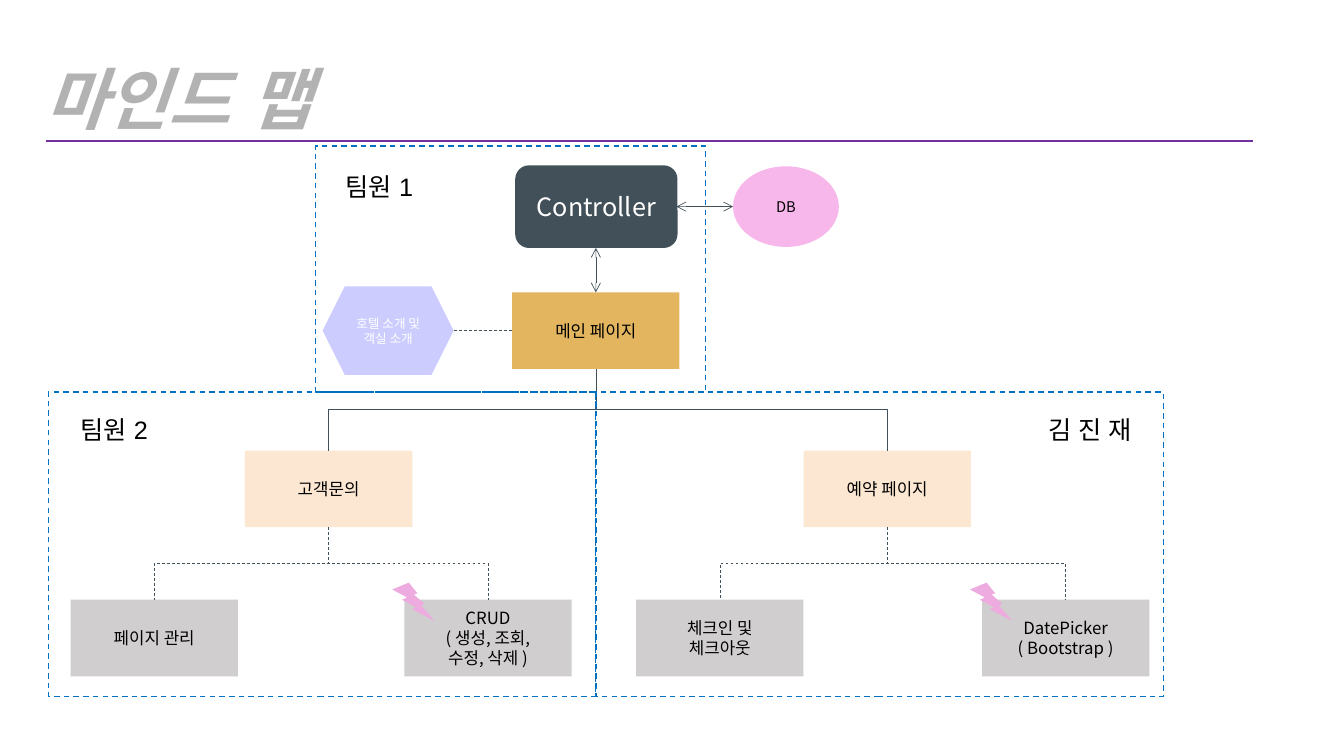
from lxml import etree
from pptx import Presentation
from pptx import util as u
from pptx.dml.color import RGBColor
from pptx.enum import dml, shapes, text
from pptx.oxml import ns

COLORS = {
    "title": "B2B2B2", "rule": "7030A0", "frame": "0070C0", "slate": "425059",
    "gold": "E3B55F", "peach": "FCE7D2", "gray": "D0CECE", "pink": "F7B7EB",
    "bolt": "EDABE0", "lavender": "CCCCFF", "black": "000000", "white": "FFFFFF",
}
SHAPE = shapes.MSO_SHAPE
NODE_WIDTH, NODE_HEIGHT = 1.66, 0.76
MIDDLE_X = 5.91


def color(name):
    return RGBColor.from_string(COLORS[name])


class MindMap:
    body_font = "Noto Sans CJK KR"
    label_font = "Arial"
    title_font = "Montserrat"

    def __init__(self, slide):
        self.slide = slide

    def set_text(self, shape, words, font_name, size, ink, align=None, bold=None, italic=None):
        frame = shape.text_frame
        frame.word_wrap = True
        frame.text = words
        for paragraph in frame.paragraphs:
            paragraph.alignment = align
            font = paragraph.font
            font.name, font.size = font_name, u.Pt(size)
            font.bold, font.italic = bold, italic
            font.color.rgb = color(ink)
            etree.SubElement(font._rPr, ns.qn("a:ea"), typeface=font_name)

    def label(self, left, top, width, height, words, size=18, ink="black", font=label_font, **style):
        box = self.slide.shapes.add_textbox(*map(u.Inches, (left, top, width, height)))
        self.set_text(box, words, font, size, ink, **style)

    def node(self, kind, left, top, width, height, fill, words="", size=12, ink="black"):
        shape = self.slide.shapes.add_shape(kind, *map(u.Inches, (left, top, width, height)))
        shape.shadow.inherit = False
        shape.fill.solid()
        shape.fill.fore_color.rgb = color(fill)
        shape.line.fill.background()
        if words:
            shape.text_frame.vertical_anchor = text.MSO_ANCHOR.MIDDLE
            self.set_text(shape, words, self.body_font, size, ink, text.PP_ALIGN.CENTER)

    def page(self, center, top, fill, words):
        self.node(SHAPE.RECTANGLE, center - NODE_WIDTH / 2, top, NODE_WIDTH, NODE_HEIGHT, fill, words)

    def frame(self, left, top, width, height):
        shape = self.slide.shapes.add_shape(SHAPE.RECTANGLE, *map(u.Inches, (left, top, width, height)))
        shape.shadow.inherit = False
        shape.fill.background()
        shape.line.color.rgb = color("frame")
        shape.line.width = u.Pt(1)
        shape.line.dash_style = dml.MSO_LINE.DASH

    def line(self, x1, y1, x2, y2, ink="slate", width=0.5, dashed=False, arrows=False,
             kind=shapes.MSO_CONNECTOR.STRAIGHT):
        connector = self.slide.shapes.add_connector(kind, *map(u.Inches, (x1, y1, x2, y2)))
        connector.line.color.rgb = color(ink)
        connector.line.width = u.Pt(width)
        if dashed:
            connector.line.dash_style = dml.MSO_LINE.DASH
        if arrows:
            outline = connector.line._get_or_add_ln()
            for end in ("a:headEnd", "a:tailEnd"):
                etree.SubElement(outline, ns.qn(end), type="arrow")
        etree.SubElement(connector._element.spPr, ns.qn("a:effectLst"))
        return connector

    def branch(self, parent_x, parent_y, child_x, child_y, dashed=False):
        center_x, center_y = (parent_x + child_x) / 2, (parent_y + child_y) / 2
        half_width = (child_y - parent_y) / 2
        half_height = abs(child_x - parent_x) / 2
        side = 1 if child_x > parent_x else -1
        connector = self.line(center_x + side * half_width, center_y - half_height,
                              center_x - side * half_width, center_y + half_height,
                              dashed=dashed, kind=shapes.MSO_CONNECTOR.ELBOW)
        degrees = 270 if side > 0 else 90
        connector._element.spPr.find(ns.qn("a:xfrm")).set("rot", str(degrees * 60000))


def main():
    presentation = Presentation()
    presentation.slide_width, presentation.slide_height = u.Inches(13.33), u.Inches(7.5)
    mind_map = MindMap(presentation.slides.add_slide(presentation.slide_layouts[6]))

    mind_map.line(0.46, 1.4, 12.43, 1.4, "rule", 1)
    mind_map.label(0.35, 0.52, 9.8, 0.91, "마인드 맵", 48, "title", mind_map.title_font,
                   bold=True, italic=True)

    mind_map.node(SHAPE.OVAL, 7.27, 1.65, 1.05, 0.8, "pink", "DB", 10.5)
    mind_map.node(SHAPE.ROUNDED_RECTANGLE, 5.11, 1.64, 1.61, 0.82, "slate", "Controller", 18, "white")
    mind_map.node(SHAPE.HEXAGON, 3.2, 2.84, 1.3, 0.88, "lavender", "호텔 소개 및 객실 소개", 9, "white")
    main_top, section_top, leaf_top = 2.9, 4.47, 5.95
    mind_map.page(MIDDLE_X, main_top, "gold", "메인 페이지")
    mind_map.line(6.71, 2.05, 7.27, 2.05, arrows=True)
    mind_map.line(MIDDLE_X, 2.46, MIDDLE_X, main_top, arrows=True)
    mind_map.line(4.5, 3.28, 5.08, 3.28, dashed=True)

    sections = [
        (3.26, "고객문의", [(1.53, "페이지 관리"), (4.84, "CRUD\n( 생성, 조회,\n수정, 삭제 )")]),
        (8.8, "예약 페이지", [(7.14, "체크인 및\n체크아웃"), (10.57, "DatePicker\n( Bootstrap )")]),
    ]
    for section_x, section, leaves in sections:
        mind_map.page(section_x, section_top, "peach", section)
        mind_map.branch(MIDDLE_X, main_top + NODE_HEIGHT, section_x, section_top)
        for leaf_x, leaf in leaves:
            mind_map.page(leaf_x, leaf_top, "gray", leaf)
            mind_map.branch(section_x, section_top + NODE_HEIGHT, leaf_x, leaf_top, dashed=True)
        mind_map.node(SHAPE.LIGHTNING_BOLT, leaf_x - 0.95, 5.78, 0.42, 0.38, "bolt")

    mind_map.frame(MIDDLE_X, 3.89, 5.63, 3.02)
    mind_map.frame(0.48, 3.89, 5.43, 3.02)
    mind_map.frame(3.13, 1.45, 3.87, 2.44)
    mind_map.label(10.3, 4.06, 1.1, 0.4, "김 진 재")
    mind_map.label(3.33, 1.65, 0.92, 0.4, "팀원 1")
    mind_map.label(0.7, 4.06, 0.92, 0.4, "팀원 2")

    presentation.save("out.pptx")


if __name__ == "__main__":
    main()
